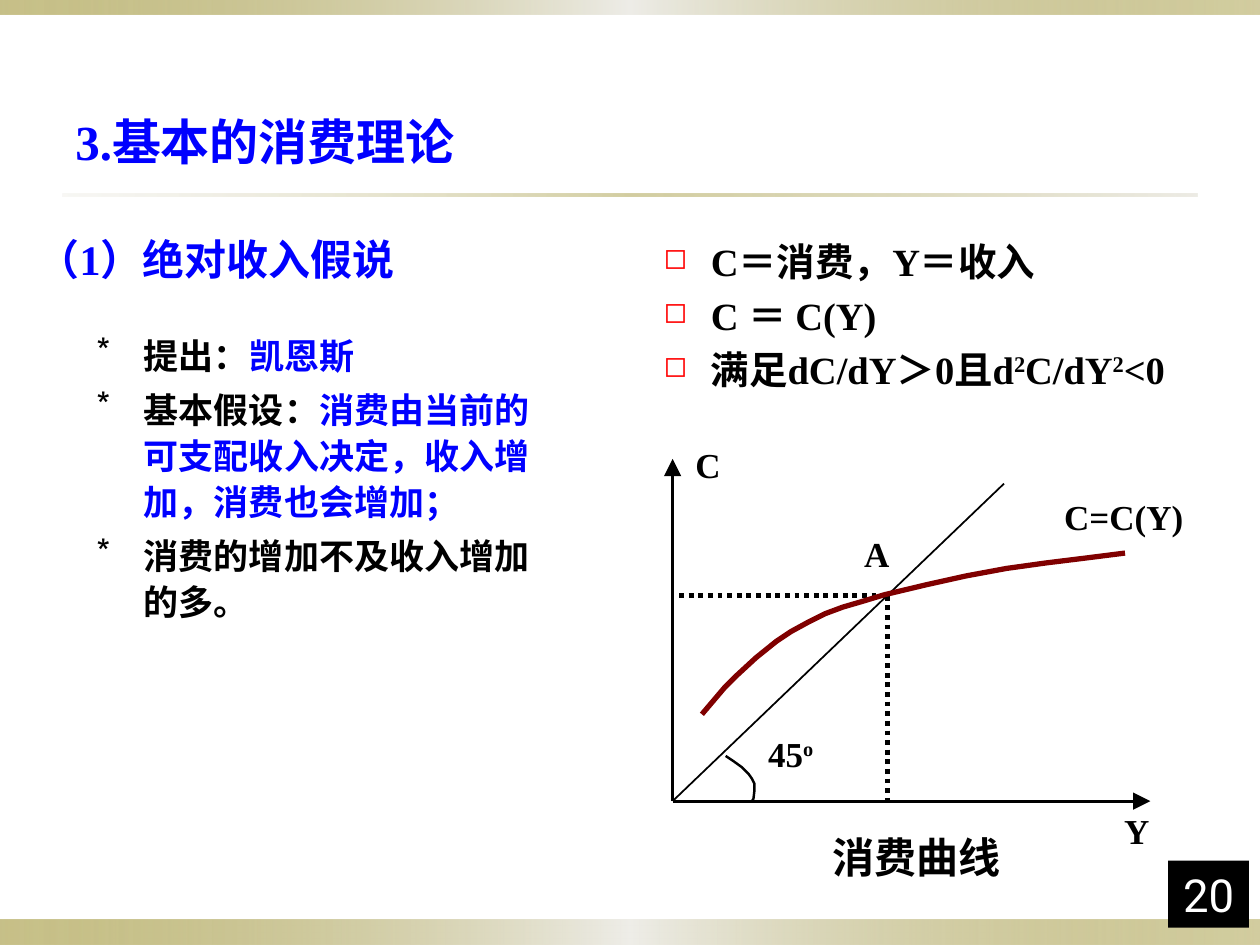
from lxml.etree import SubElement
from pptx import Presentation
from pptx.dml.color import RGBColor
from pptx.enum.dml import MSO_LINE
from pptx.enum.shapes import MSO_CONNECTOR, MSO_SHAPE
from pptx.enum.text import MSO_ANCHOR, PP_ALIGN
from pptx.oxml.ns import qn
from pptx.util import Cm, Pt

BLACK = RGBColor(0x00, 0x00, 0x00)
WHITE = RGBColor(0xFF, 0xFF, 0xFF)
BLUE = RGBColor(0x00, 0x00, 0xFF)
RED = RGBColor(0xFF, 0x00, 0x00)
MAROON = RGBColor(0x80, 0x00, 0x00)
OLIVE = RGBColor(0x91, 0x84, 0x15)
PALE = RGBColor(0xEE, 0xED, 0xE8)
SAND = RGBColor(0xDC, 0xD9, 0xCC)
SERIF, SANS, CHINESE = "Times New Roman", "Roboto", "Noto Sans CJK SC"


def add_element(parent, tag, **attributes):
    element = SubElement(parent, qn(tag))
    for name, value in attributes.items():
        element.set(name, str(value))
    return element


def write_text(shape, paragraphs, font, frame=None, layout=None, bullet=None):
    text_frame = shape.text_frame
    for name, value in {"word_wrap": True, **(frame or {})}.items():
        setattr(text_frame, name, value)
    for index, runs in enumerate(paragraphs):
        paragraph = text_frame.add_paragraph() if index else text_frame.paragraphs[0]
        for name, value in (layout or {}).items():
            setattr(paragraph, name, value)
        if bullet:
            character, color, size = bullet
            properties = paragraph._p.get_or_add_pPr()
            properties.set("marL", str(Cm(0.95)))
            properties.set("indent", str(-Cm(0.95)))
            add_element(add_element(properties, "a:buClr"), "a:srgbClr", val=color)
            add_element(properties, "a:buSzPct", val=size * 1000)
            add_element(properties, "a:buChar", char=character)
        for text, color, baseline in runs:
            run = paragraph.add_run()
            run.text = text
            run.font.color.rgb = color
            for name, value in font.items():
                setattr(run.font, name, value)
            run_properties = run._r.get_or_add_rPr()
            add_element(run_properties, "a:ea", typeface=CHINESE)
            if baseline:
                run_properties.set("baseline", str(baseline * 1000))


presentation = Presentation()
presentation.slide_width, presentation.slide_height = Cm(25.4), Cm(19.05)
slide = presentation.slides.add_slide(presentation.slide_layouts[6])
shapes = slide.shapes

bar_stops = [(0, OLIVE, 50), (50, PALE, 100), (100, OLIVE, 40)]
rule_stops = [(0, SAND, 20), (50, OLIVE, 40), (100, SAND, 50)]
bands = [
    ((0, 18.54, 25.4, 0.51), bar_stops),
    ((0, 0, 25.4, 0.3), bar_stops),
    ((1.27, 3.91, 22.86, 0.05), rule_stops),
]
for box, stops in bands:
    band = shapes.add_shape(MSO_SHAPE.RECTANGLE, *map(Cm, box))
    band.shadow.inherit = False
    band.line.fill.background()
    band.fill.gradient()
    band.fill.gradient_angle = 0
    stop_list = band._element.spPr.find(qn("a:gradFill")).find(qn("a:gsLst"))
    for stop in list(stop_list):
        stop_list.remove(stop)
    for position, color, opacity in stops:
        stop = add_element(stop_list, "a:gs", pos=position * 1000)
        shade = add_element(stop, "a:srgbClr", val=color)
        if opacity < 100:
            add_element(shade, "a:alpha", val=opacity * 1000)

middle = {"vertical_anchor": MSO_ANCHOR.MIDDLE}
headings = [
    ((1.27, 1.73, 9.73, 2.21), "3.基本的消费理论", 28),
    ((0.51, 4.11, 8.03, 2.21), "（1）绝对收入假说", 24),
]
for box, text, size in headings:
    heading = shapes.add_textbox(*map(Cm, box))
    font = {"size": Pt(size), "name": SERIF, "bold": True}
    write_text(heading, [[(text, BLUE, 0)]], font, middle)

theory = [
    [("提出：", BLACK, 0), ("凯恩斯", BLUE, 0)],
    [("基本假设：", BLACK, 0),
     ("消费由当前的可支配收入决定，收入增加，消费也会增加；", BLUE, 0)],
    [("消费的增加不及收入增加的多。", BLACK, 0)],
]
theory_box = shapes.add_textbox(Cm(1.7), Cm(6.53), Cm(9.58), Cm(10))
write_text(theory_box, theory, {"size": Pt(20), "name": SANS, "bold": True},
           layout={"line_spacing": 1.1, "space_before": Pt(4.5)},
           bullet=("*", BLACK, 100))

formulas = [
    [("C＝消费，Y＝收入", BLACK, 0)],
    [("C ＝ C(Y)", BLACK, 0)],
    [("满足dC/dY＞0且d", BLACK, 0), ("2", BLACK, 30), ("C/dY", BLACK, 0),
     ("2", BLACK, 30), ("<0", BLACK, 0)],
]
formula_box = shapes.add_textbox(Cm(13.13), Cm(4.67), Cm(11.13), Cm(3.61))
write_text(formula_box, formulas, {"size": Pt(22), "name": SERIF, "bold": True},
           layout={"space_before": Pt(4.5)}, bullet=("◻", RED, 75))

origin = (13.56, 16.15)
chart_lines = [
    (origin, (23.19, 16.15), 1.75, None, True),
    (origin, (13.56, 9.25), 1.75, None, True),
    (origin, (20.24, 9.75), 1, None, False),
    ((17.89, 12.01), (17.89, 16.15), 2.75, MSO_LINE.ROUND_DOT, False),
    ((13.69, 12.01), (17.89, 12.01), 2.75, MSO_LINE.ROUND_DOT, False),
]
for start, end, width, dash, arrow in chart_lines:
    connector = shapes.add_connector(MSO_CONNECTOR.STRAIGHT, *map(Cm, start + end))
    connector.line.color.rgb = BLACK
    connector.line.width = Pt(width)
    if dash:
        connector.line.dash_style = dash
    if arrow:
        add_element(connector.line._get_or_add_ln(), "a:tailEnd",
                    type="triangle", w="lg", len="lg")
    add_element(connector._element.spPr, "a:effectLst")

angle_arc = [(14.63, 15.24), (14.78, 15.34), (14.96, 15.47), (15.09, 15.6),
             (15.16, 15.7), (15.21, 15.8), (15.21, 15.93), (15.19, 16.1),
             (15.16, 16.15)]
consumption_curve = [
    (14.15, 14.4), (14.6, 13.87), (14.86, 13.61), (15.24, 13.26), (15.65, 12.93),
    (15.95, 12.73), (16.28, 12.55), (16.64, 12.37), (16.99, 12.24), (17.4, 12.12),
    (17.83, 11.99), (18.67, 11.79), (19.48, 11.61), (20.29, 11.46), (21.08, 11.35),
    (21.89, 11.25), (22.68, 11.15)]
for points, color, width in [(angle_arc, BLACK, 1.38), (consumption_curve, MAROON, 3)]:
    vertices = [(Cm(x), Cm(y)) for x, y in points]
    builder = shapes.build_freeform(*vertices[0])
    builder.add_line_segments(vertices[1:], close=False)
    curve = builder.convert_to_shape()
    curve.shadow.inherit = False
    curve.fill.background()
    curve.line.color.rgb = color
    curve.line.width = Pt(width)

no_margins = dict.fromkeys(
    ["margin_left", "margin_top", "margin_right", "margin_bottom"], 0)
centred = {"alignment": PP_ALIGN.CENTER, "space_before": Pt(4)}
labels = [
    ((22.66, 16.31, 0.51, 0.84), [("Y", BLACK, 0)], SERIF, 20),
    ((14.02, 8.94, 0.51, 0.84), [("C", BLACK, 0)], SERIF, 20),
    ((17.42, 10.74, 0.51, 0.84), [("A", BLACK, 0)], SERIF, 20),
    ((21.18, 9.98, 2.95, 0.84), [("C=C(Y)", BLACK, 0)], SERIF, 20),
    ((15.24, 14.76, 1.4, 0.84), [("45", BLACK, 0), ("o", BLACK, 30)], SERIF, 20),
    ((15.49, 16.76, 5.99, 1.02), [("消费曲线", BLACK, 0)], CHINESE, 24),
]
for box, runs, name, size in labels:
    label = shapes.add_textbox(*map(Cm, box))
    write_text(label, [runs], {"size": Pt(size), "name": name, "bold": True},
               {**no_margins, "word_wrap": box[2] > 1}, centred)

page_number = shapes.add_shape(
    MSO_SHAPE.RECTANGLE, Cm(23.55), Cm(17.35), Cm(1.63), Cm(1.35))
page_number.shadow.inherit = False
page_number.fill.solid()
page_number.fill.fore_color.rgb = BLACK
page_number.line.fill.background()
write_text(page_number, [[("20", WHITE, 0)]], {"size": Pt(26), "name": SANS},
           {"vertical_anchor": MSO_ANCHOR.BOTTOM}, centred)

presentation.save("out.pptx")
